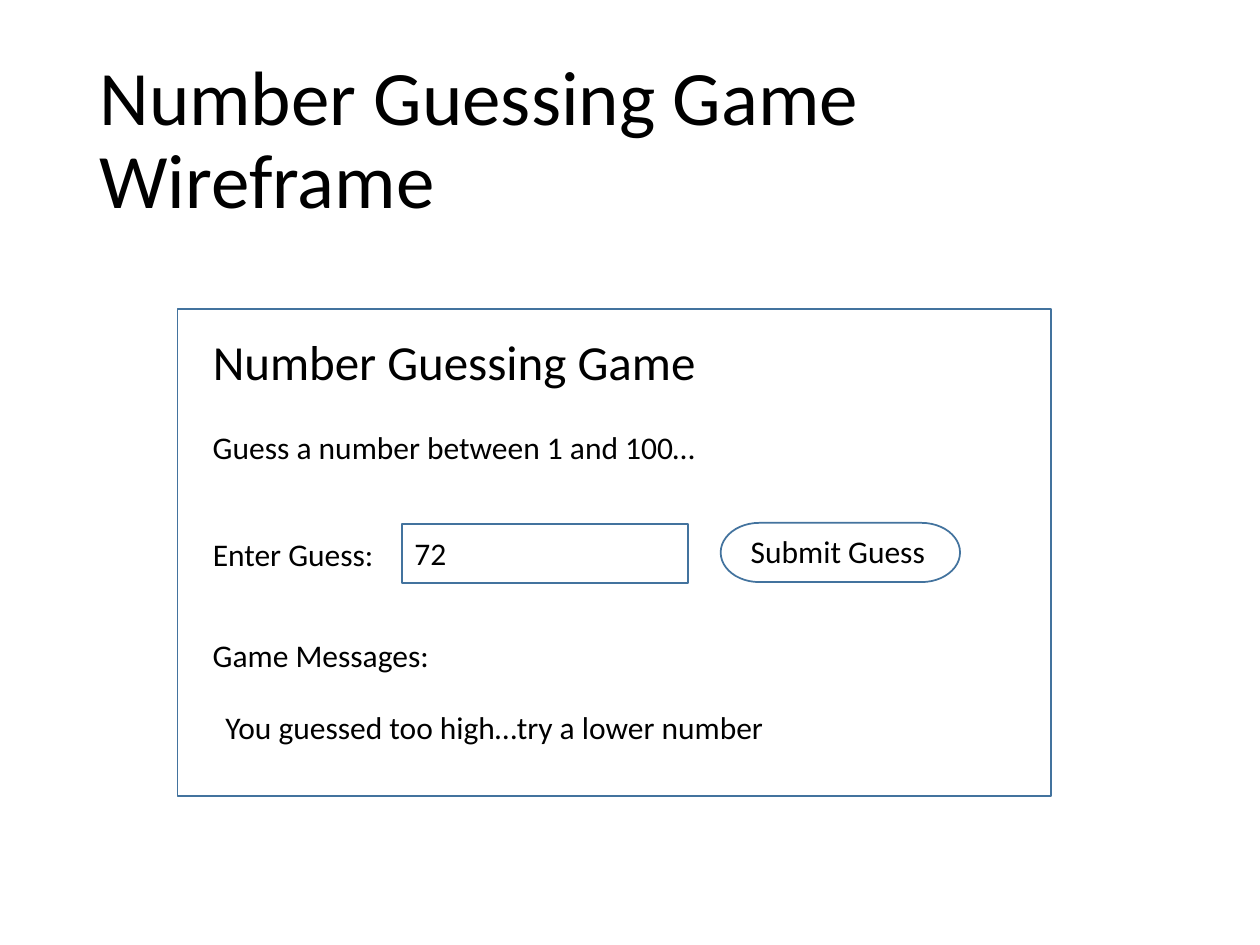
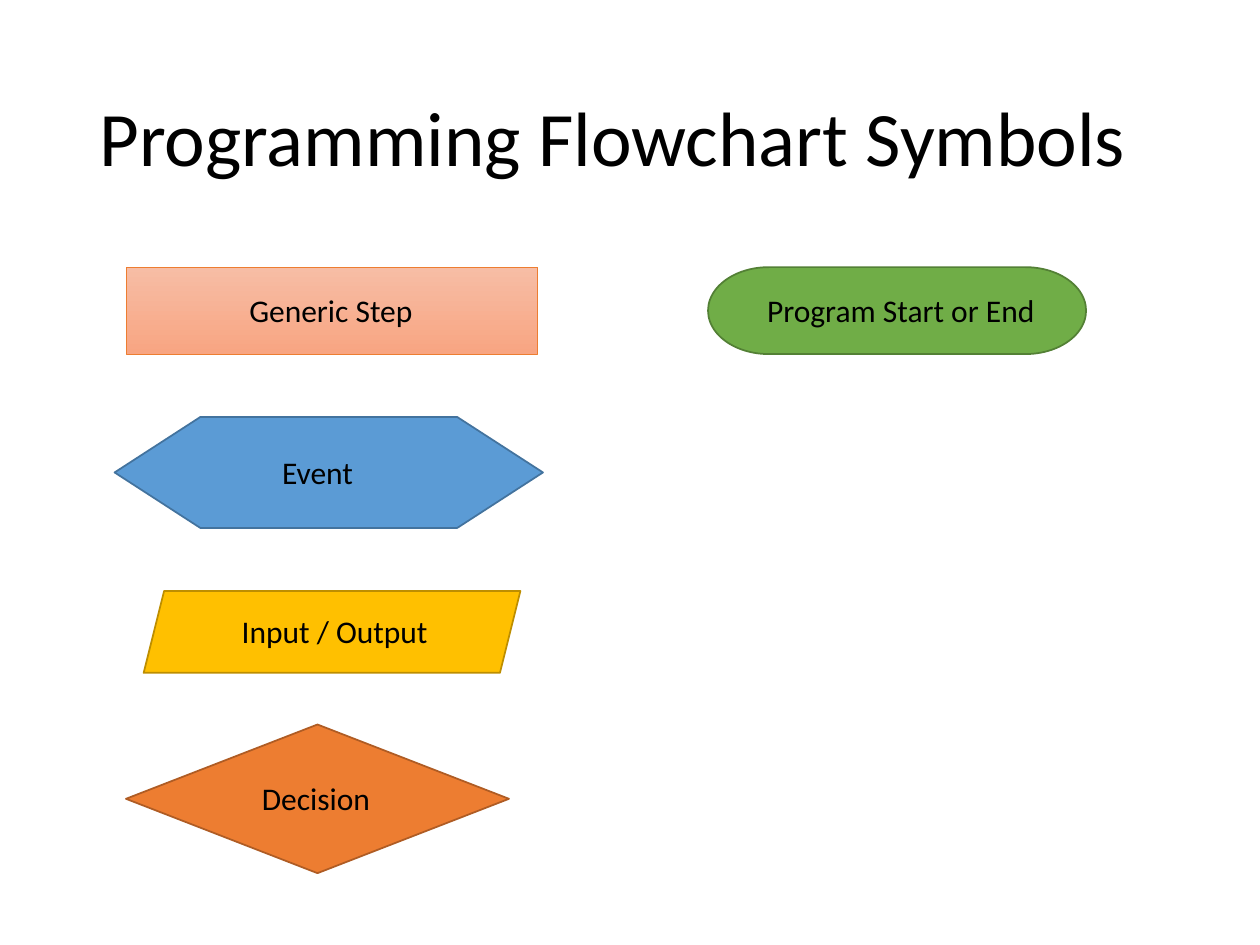
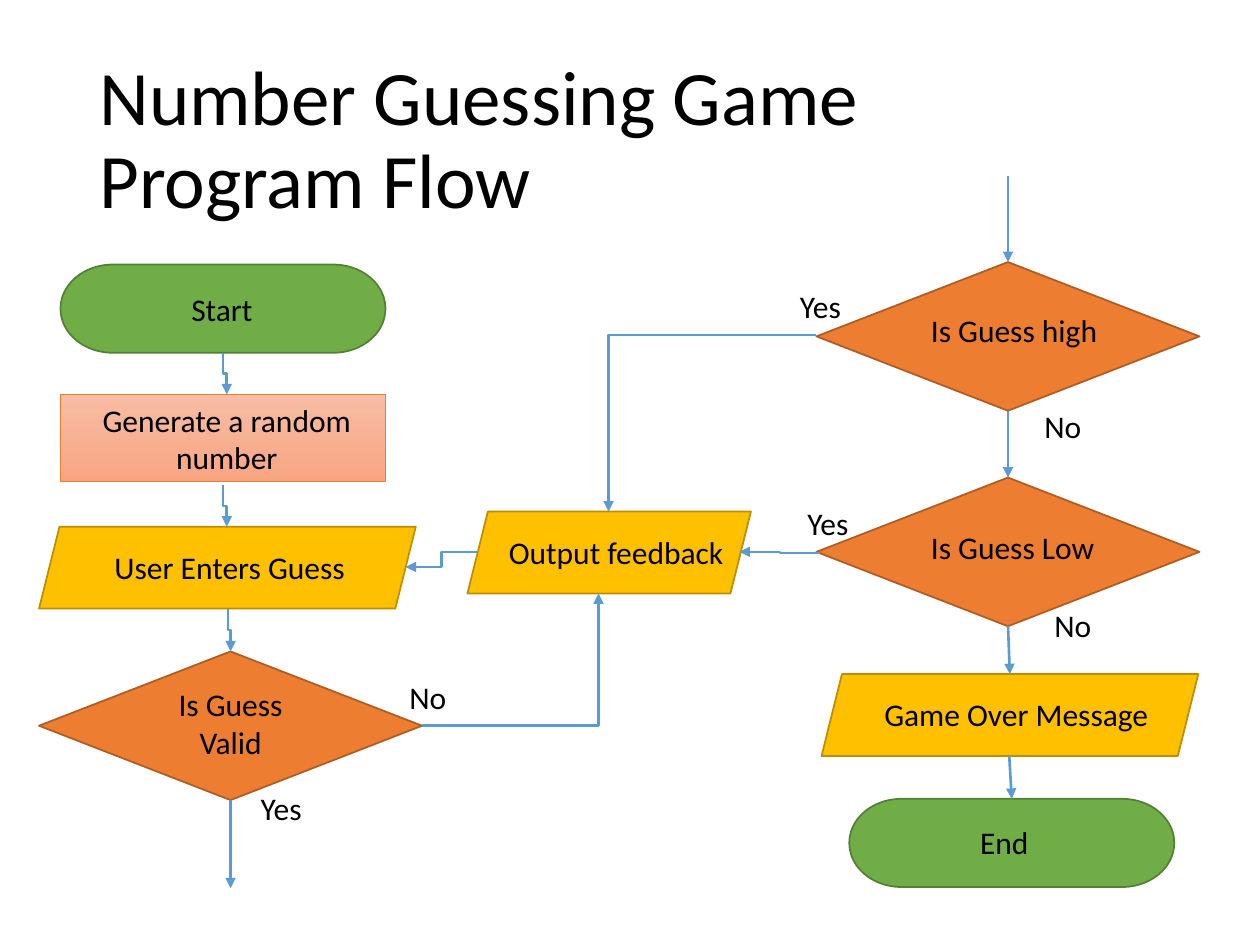
from dataclasses import dataclass

from lxml.etree import SubElement
from pptx import Presentation
from pptx.dml.color import RGBColor
from pptx.enum.shapes import MSO_CONNECTOR, MSO_SHAPE
from pptx.enum.text import MSO_ANCHOR, MSO_AUTO_SIZE, PP_ALIGN
from pptx.oxml.ns import qn
from pptx.util import Pt

EMU_PER_PX = 9144


@dataclass(frozen=True)
class Theme:
    font: str = "Calibri"
    text: str = "000000"
    arrow: str = "5B9BD5"
    title_size: int = 44
    heading_size: int = 28
    body_size: int = 18
    arrow_width: float = 1.5


THEME = Theme()

KINDS = {
    "frame": (MSO_SHAPE.RECTANGLE, (), "43739E", 1),
    "button": (MSO_SHAPE.FLOWCHART_TERMINATOR, (), "43739E", 1),
    "step": (MSO_SHAPE.RECTANGLE, ("F7BDA5", "F8A582"), "ED7D31", 0.5),
    "event": (MSO_SHAPE.FLOWCHART_PREPARATION, ("5B9BD5",), "43739E", 1),
    "data": (MSO_SHAPE.PARALLELOGRAM, ("FFC000",), "BD8E00", 1),
    "decision": (MSO_SHAPE.FLOWCHART_DECISION, ("ED7D31",), "AF5C24", 1),
    "terminal": (MSO_SHAPE.FLOWCHART_TERMINATOR, ("70AD47",), "538035", 1),
}

TITLE_BOX = (69, 40, 862, 145)
TERMINAL_SIZE = (258, 70)
DATA_SIZE = (299, 65)
DECISION_SIZE = (304, 118)

TOP, LEFT, BOTTOM, RIGHT = range(4)
DATA_LEFT, DATA_EDGE_BOTTOM, DATA_BOTTOM, DATA_RIGHT = range(2, 6)

SLIDES = [
    {
        "title": "Number Guessing Game Wireframe",
        "shapes": [
            ("window", "frame", 141, 245, 693, 387),
            ("guess field", "frame", 319, 416, 227, 47),
            ("submit button", "button", 572, 415, 190, 47),
        ],
        "headings": [("Number Guessing Game", 159, 258, 602)],
        "labels": [
            ("Guess a number between 1 and 100…", 159, 335, 434),
            ("Enter Guess:", 159, 420, 152),
            ("72", 319, 419, 78),
            ("Submit Guess", 586, 417, 189),
            ("Game Messages:", 159, 500, 193),
            ("You guessed too high…try a lower number", 169, 557, 582),
        ],
    },
    {
        "title": "Programming Flowchart Symbols",
        "shapes": [
            ("generic step", "step", 100, 212, 327, 69),
            ("event", "event", 91, 331, 340, 88),
            ("input output", "data", 114, 469, *DATA_SIZE),
            ("decision", "decision", 100, 575, *DECISION_SIZE),
            ("start or end", "terminal", 562, 212, 300, 69),
        ],
        "labels": [
            ("Generic Step", 188, 226, 151),
            ("Event", 214, 355, 100),
            ("Input / Output", 182, 481, 174),
            ("Decision", 198, 613, 108),
            ("Program Start or End", 599, 226, 243),
        ],
    },
    {
        "title": "Number Guessing Game\vProgram Flow",
        "shapes": [
            ("start", "terminal", 48, 210, *TERMINAL_SIZE),
            ("generate", "step", 48, 313, 258, 69),
            ("enter", "data", 31, 418, *DATA_SIZE),
            ("valid", "decision", 31, 517, *DECISION_SIZE),
            ("feedback", "data", 371, 406, 225, 65),
            ("high", "decision", 648, 208, *DECISION_SIZE),
            ("low", "decision", 648, 379, *DECISION_SIZE),
            ("game over", "data", 652, 535, *DATA_SIZE),
            ("end", "terminal", 674, 634, *TERMINAL_SIZE),
        ],
        "labels": [
            ("Start", 142, 225, 73),
            ("User Enters Guess", 81, 430, 209),
            ("Output feedback", 394, 418, 193),
            ("Is Guess high", 729, 242, 156),
            ("Is Guess Low", 729, 414, 156),
            ("Game Over Message", 692, 547, 237),
            ("End", 768, 648, 63),
            ("No", 315, 533, 54),
            ("Yes", 197, 621, 57),
            ("Yes", 625, 223, 57),
            ("No", 819, 318, 54),
            ("Yes", 631, 395, 57),
            ("No", 827, 476, 54),
        ],
        "centered": [
            ("Generate a random number", 57, 313, 246),
            ("Is Guess Valid", 129, 539, 108),
        ],
        "straight": [
            ((800, 140), (800, 208), None, ("high", TOP)),
            ((183, 635), (183, 705), ("valid", BOTTOM), None),
            ((800, 326), (800, 379), ("high", BOTTOM), ("low", TOP)),
            ((800, 497), (801, 535), ("low", BOTTOM), ("game over", TOP)),
            ((801, 600), (802, 634), None, ("end", TOP)),
        ],
        "elbows": [
            ("down", (177, 280), (180, 313), ("start", BOTTOM), ("generate", TOP)),
            ("down", (177, 385), (180, 418),
             ("Generate a random number", BOTTOM), ("enter", TOP)),
            ("down", (181, 483), (183, 517), ("enter", DATA_BOTTOM), ("valid", TOP)),
            ("corner", (335, 576), (475, 471),
             ("valid", RIGHT), ("feedback", DATA_EDGE_BOTTOM)),
            ("corner", (648, 266), (483, 406), ("high", LEFT), ("feedback", TOP)),
            ("across", (651, 439), (587, 438), None, ("feedback", DATA_RIGHT)),
            ("across", (379, 438), (322, 450),
             ("feedback", DATA_LEFT), ("enter", DATA_RIGHT)),
        ],
    },
]


def emu(*lengths):
    return [round(length * EMU_PER_PX) for length in lengths]


def add_text(slide, text, box, size, alignment=PP_ALIGN.LEFT):
    shape = slide.shapes.add_textbox(*emu(*box))
    frame = shape.text_frame
    frame.word_wrap = True
    frame.text = text
    paragraph = frame.paragraphs[0]
    paragraph.alignment = alignment
    paragraph.font.name = THEME.font
    paragraph.font.size = Pt(size)
    paragraph.font.color.rgb = RGBColor.from_string(THEME.text)
    return shape


def add_title(slide, text):
    frame = add_text(slide, text, TITLE_BOX, THEME.title_size).text_frame
    frame.vertical_anchor = MSO_ANCHOR.MIDDLE
    frame.paragraphs[0].line_spacing = 0.9


def add_label(slide, label, height=40, size=THEME.body_size, alignment=PP_ALIGN.LEFT):
    text, left, top, width = label
    shape = add_text(slide, text, (left, top, width, height), size, alignment)
    shape.text_frame.auto_size = MSO_AUTO_SIZE.SHAPE_TO_FIT_TEXT
    return shape


def add_symbol(slide, kind, box):
    preset, fills, line, line_width = KINDS[kind]
    shape = slide.shapes.add_shape(preset, *emu(*box))
    shape.shadow.inherit = False
    if len(fills) == 2:
        shape.fill.gradient()
        shape.fill.gradient_angle = 270
        for stop, color in zip(shape.fill.gradient_stops, fills):
            stop.color.rgb = RGBColor.from_string(color)
    elif fills:
        shape.fill.solid()
        shape.fill.fore_color.rgb = RGBColor.from_string(fills[0])
    else:
        shape.fill.background()
    shape.line.color.rgb = RGBColor.from_string(line)
    shape.line.width = Pt(line_width)
    return shape


def add_arrow(slide, connector_type, begin, end):
    connector = slide.shapes.add_connector(connector_type, *emu(*begin, *end))
    connector.line.color.rgb = RGBColor.from_string(THEME.arrow)
    connector.line.width = Pt(THEME.arrow_width)
    properties = connector.element.spPr
    SubElement(properties.find(qn("a:ln")), qn("a:tailEnd"), type="triangle")
    SubElement(properties, qn("a:effectLst"))
    return connector


def add_straight(slide, shapes, begin, end, source, target):
    connector = add_arrow(slide, MSO_CONNECTOR.STRAIGHT, begin, end)
    if source:
        connector.begin_connect(shapes[source[0]], source[1])
    if target:
        connector.end_connect(shapes[target[0]], target[1])


def add_elbow(slide, shapes, route, begin, end, source, target):
    if route == "down":
        center_x, center_y = (begin[0] + end[0]) / 2, (begin[1] + end[1]) / 2
        half_x, half_y = (end[0] - begin[0]) / 2, (end[1] - begin[1]) / 2
        begin = (center_x + half_y, center_y - half_x)
        end = (center_x - half_y, center_y + half_x)
    connector = add_arrow(slide, MSO_CONNECTOR.ELBOW, begin, end)
    properties = connector.element.spPr
    if route == "down":
        properties.find(qn("a:xfrm")).set("rot", "16200000")
    if route == "corner":
        properties.find(qn("a:prstGeom")).set("prst", "bentConnector2")
    joints = connector.element.find(".//" + qn("p:cNvCxnSpPr"))
    for tag, joint in (("a:stCxn", source), ("a:endCxn", target)):
        if joint:
            name, site = joint
            SubElement(joints, qn(tag), id=str(shapes[name].shape_id), idx=str(site))


def build_slide(presentation, content):
    slide = presentation.slides.add_slide(presentation.slide_layouts[6])
    add_title(slide, content["title"])
    shapes = {}
    for name, kind, *box in content["shapes"]:
        shapes[name] = add_symbol(slide, kind, box)
    for heading in content.get("headings", []):
        add_label(slide, heading, 57, THEME.heading_size)
    for label in content["labels"]:
        add_label(slide, label)
    for label in content.get("centered", []):
        shapes[label[0]] = add_label(slide, label, 71, alignment=PP_ALIGN.CENTER)
    for arrow in content.get("straight", []):
        add_straight(slide, shapes, *arrow)
    for arrow in content.get("elbows", []):
        add_elbow(slide, shapes, *arrow)


def main():
    presentation = Presentation()
    presentation.slide_width, presentation.slide_height = emu(1000, 750)
    for content in SLIDES:
        build_slide(presentation, content)
    presentation.save("out.pptx")


if __name__ == "__main__":
    main()
